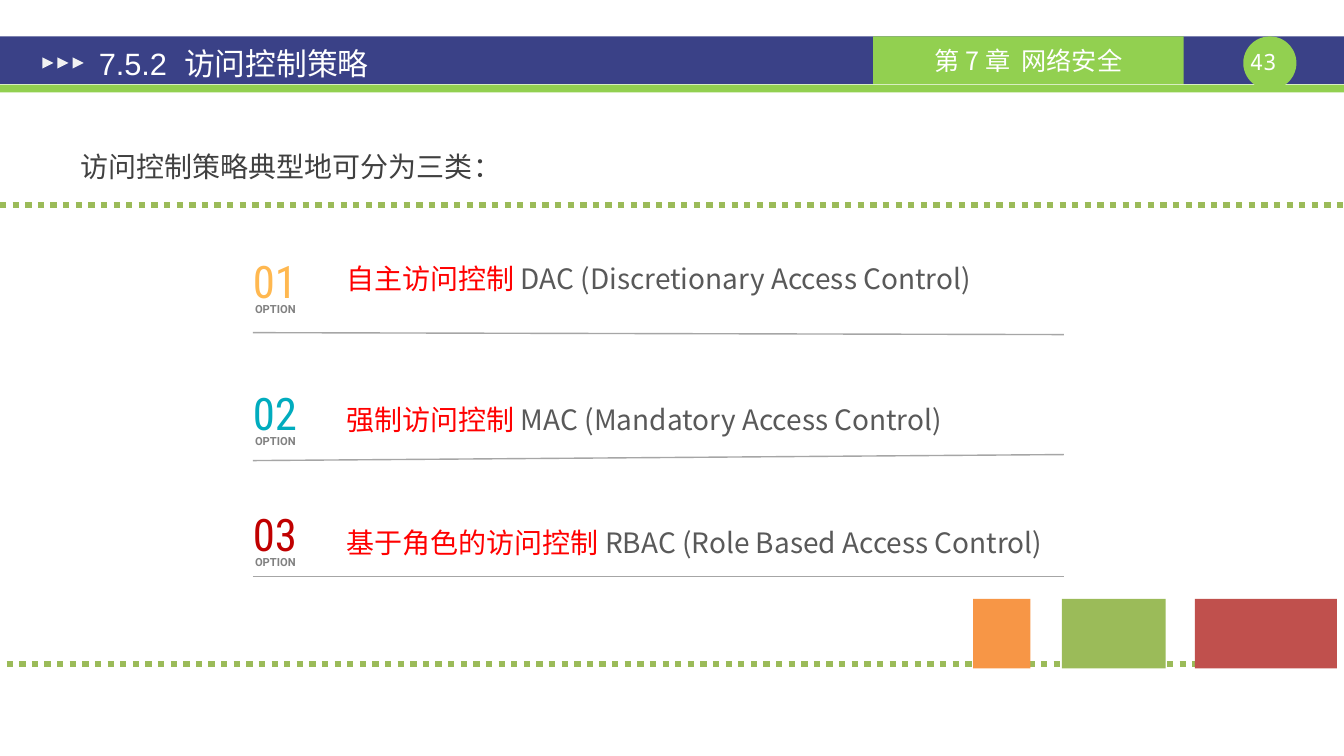
from lxml.etree import SubElement
from pptx import Presentation
from pptx.dml.color import RGBColor
from pptx.enum.dml import MSO_LINE
from pptx.enum.shapes import MSO_CONNECTOR, MSO_SHAPE
from pptx.enum.text import MSO_ANCHOR, MSO_AUTO_SIZE, PP_ALIGN
from pptx.oxml.ns import qn
from pptx.util import Pt

COLORS = {
    "navy": "3A4187", "lime": "92D050", "white": "FFFFFF", "arrow": "F2F2F2",
    "text": "404040", "english": "595959", "chinese": "FF0000",
    "label": "818181", "rule": "A6A6A6", "green": "9BBB59",
    "red": "C0504D", "orange": "F79646",
    "01": "FFB850", "02": "01ACBE", "03": "C00000",
}
CJK = "Noto Sans CJK SC"
WIDTH, HEIGHT = 960.5, 540

# number, top, text offset, line spacing, rule offsets (left, right), Chinese, English
OPTIONS = [
    ("01", 180.7, 2.9, 1.0, (56.9, 58.3), "自主访问控制", "DAC (Discretionary Access Control)"),
    ("02", 275.0, 4.4, 1.2, (54.0, 49.7), "强制访问控制", "MAC (Mandatory Access Control)"),
    ("03", 361.4, 5.8, 1.2, (50.4, 50.4), "基于角色的访问控制", "RBAC (Role Based Access Control)"),
]


def color(name):
    return RGBColor.from_string(COLORS[name])


def add_block(slide, kind, left, top, width, height, fill):
    block = slide.shapes.add_shape(kind, Pt(left), Pt(top), Pt(width), Pt(height))
    block.shadow.inherit = False
    block.fill.solid()
    block.fill.fore_color.rgb = color(fill)
    block.line.fill.background()
    return block


def add_rule(slide, start, end, stroke, weight, dash=None):
    rule = slide.shapes.add_connector(
        MSO_CONNECTOR.STRAIGHT, *(Pt(length) for length in (*start, *end)))
    rule.line.color.rgb = color(stroke)
    rule.line.width = Pt(weight)
    if dash:
        rule.line.dash_style = dash
    SubElement(rule._element.spPr, qn("a:effectLst"))


def set_frame(frame, margins, anchor=MSO_ANCHOR.TOP, wrap=True):
    frame.auto_size = MSO_AUTO_SIZE.NONE
    frame.word_wrap = wrap
    frame.vertical_anchor = anchor
    horizontal, vertical = margins
    frame.margin_left = frame.margin_right = Pt(horizontal)
    frame.margin_top = frame.margin_bottom = Pt(vertical)


def style(paragraph, font_name, size, fill, align=PP_ALIGN.LEFT, bold=False):
    paragraph.alignment = align
    font = paragraph.font
    font.name, font.size, font.bold = font_name, Pt(size), bold
    font.color.rgb = color(fill)
    defaults = paragraph._p.pPr.find(qn("a:defRPr"))
    SubElement(defaults, qn("a:ea")).set("typeface", CJK)


def add_text(slide, box, text, margins=(0, 0), anchor=MSO_ANCHOR.TOP, wrap=True):
    frame = slide.shapes.add_textbox(*(Pt(length) for length in box)).text_frame
    set_frame(frame, margins, anchor, wrap)
    frame.text = text
    return frame.paragraphs[0]


def place(placeholder, left, top, width, height):
    placeholder.left, placeholder.top = Pt(left), Pt(top)
    placeholder.width, placeholder.height = Pt(width), Pt(height)


def add_header(slide, left, top, width, height):
    add_block(slide, MSO_SHAPE.RECTANGLE, left, top, width, height, "navy")
    add_block(slide, MSO_SHAPE.RECTANGLE, left, top + height + 0.5, width, 5.5, "lime")
    add_block(slide, MSO_SHAPE.OVAL, left + 888.5, top, 38, 38, "lime")
    page = add_text(slide, (left + 883.7, top + 8.6, 38, 19.4), "43")
    style(page, "Noto Sans Mono", 16, "white", PP_ALIGN.CENTER)

    chapter = add_block(slide, MSO_SHAPE.RECTANGLE, left + 624, top, 222, height, "lime")
    set_frame(chapter.text_frame, (7.2, 3.6), MSO_ANCHOR.MIDDLE)
    chapter.text_frame.text = "第 7 章  网络安全"
    style(chapter.text_frame.paragraphs[0], CJK, 18, "white", PP_ALIGN.CENTER)

    for index in range(3):
        arrow = add_block(slide, MSO_SHAPE.ISOSCELES_TRIANGLE,
                          left + 30.2 + 10.8 * index, top + 15, 8, 8, "arrow")
        arrow.rotation = 90

    title = slide.shapes.title
    place(title, left + 61.2, top + 2, 420, height)
    set_frame(title.text_frame, (9.4, 5), MSO_ANCHOR.MIDDLE)
    title.text_frame.text = "7.5.2  访问控制策略"
    style(title.text_frame.paragraphs[0], "Arial", 22, "white")
    slide.shapes._spTree.append(title._element)  # bring the title in front of the band


def add_introduction(slide, left, top, width, height):
    body = slide.placeholders[1]
    place(body, left, top, width, height)
    set_frame(body.text_frame, (9.4, 5))
    body.text_frame.text = "访问控制策略典型地可分为三类："
    introduction = body.text_frame.paragraphs[0]
    introduction.line_spacing = 1.5
    introduction.space_before = Pt(0)
    properties = introduction._p.get_or_add_pPr()
    properties.set("marL", "0")
    properties.set("indent", "0")
    SubElement(properties, qn("a:buNone"))
    style(introduction, "Arial", 20, "text")


def add_option(slide, left, top, width, option):
    number, _, text_offset, spacing, (rule_left, rule_right), chinese, english = option
    add_rule(slide, (left, top + rule_left), (left + width, top + rule_right), "rule", 1)
    numeral = add_text(slide, (left, top, 35.3, 38.9), number, anchor=MSO_ANCHOR.MIDDLE)
    style(numeral, "Roboto Condensed", 32, number)
    label = add_text(slide, (left - 6.5, top + 32, 45.4, 17.3), "OPTION", (7.2, 3.6), wrap=False)
    style(label, "Roboto", 8, "label", PP_ALIGN.CENTER, bold=True)
    policy = add_text(slide, (left + 59.8, top + text_offset, 519, 36), chinese, (7.2, 3.6))
    policy.line_spacing = spacing
    style(policy, CJK, 20, "english")
    policy.runs[0].font.color.rgb = color("chinese")
    policy.add_run().text = " " + english


def add_footer(slide, left, top, width, height):
    dots_top = top + 46.8
    add_rule(slide, (left - 4.3, dots_top), (left + width - 5, dots_top),
             "green", 4.5, MSO_LINE.ROUND_DOT)
    for offset, block_width, fill in ((853.9, 101.5, "red"), (758.9, 74.2, "green"),
                                      (695.5, 41, "orange")):
        add_block(slide, MSO_SHAPE.RECTANGLE, left + offset, top, block_width, height, fill)


def main():
    deck = Presentation()
    deck.slide_width, deck.slide_height = Pt(WIDTH), Pt(HEIGHT)
    slide = deck.slides.add_slide(deck.slide_layouts[1])
    add_header(slide, 0, 26, WIDTH, 34)
    add_introduction(slide, 48.2, 90, 864.7, 396)
    for option in OPTIONS:
        add_option(slide, 180.7, option[1], 579.6, option)
    add_rule(slide, (0, 146.2), (WIDTH, 146.2), "green", 4.5, MSO_LINE.ROUND_DOT)
    add_footer(slide, 0, 427.7, WIDTH, 49.7)
    deck.save("out.pptx")


if __name__ == "__main__":
    main()
